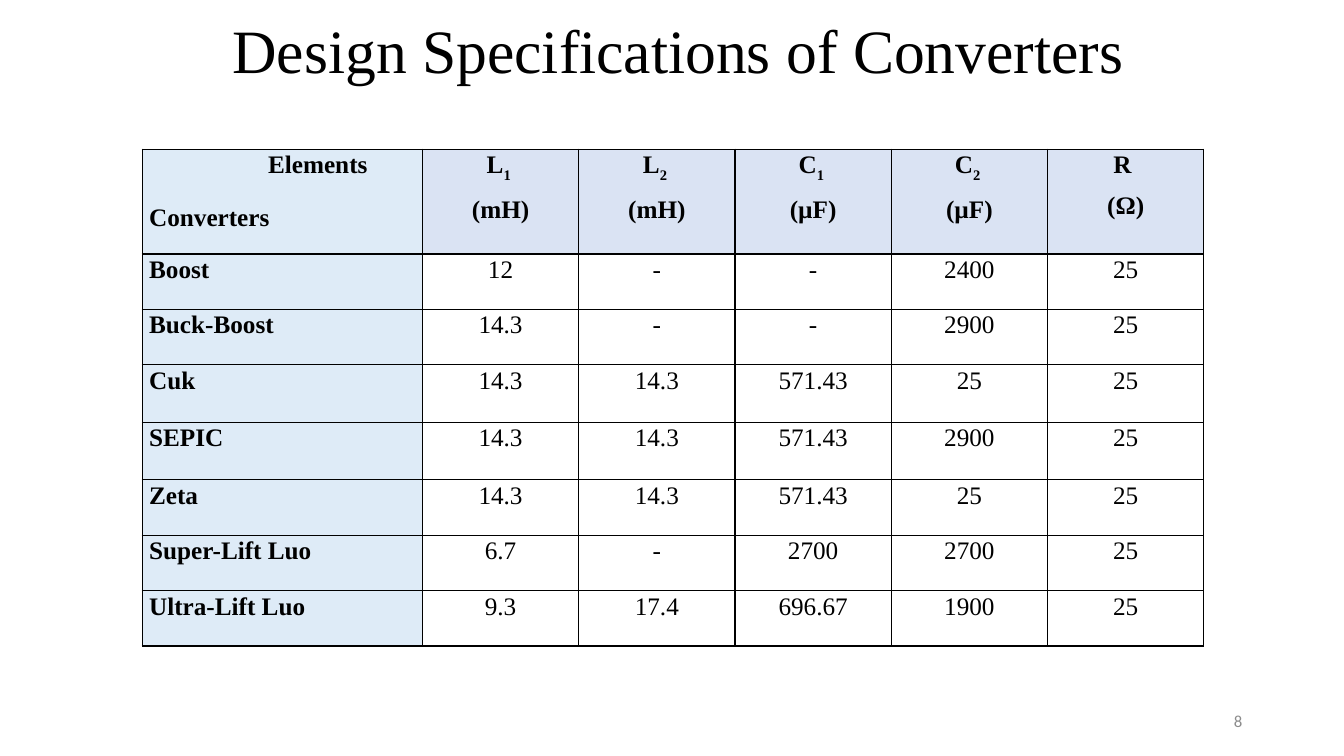
import pptx
import pptx.util
import pptx.dml.color
import pptx.enum.text
import pptx.oxml
import pptx.oxml.ns

Inches, Pt = pptx.util.Inches, pptx.util.Pt
ALIGN = pptx.enum.text.PP_ALIGN
MIDDLE = pptx.enum.text.MSO_ANCHOR.MIDDLE
SERIF = "Times New Roman"
COLORS = {"text": "000000", "number": "8C8C8C", "converter": "DEEBF7", "element": "DAE3F3"}

COLUMN_WIDTHS = [2.78] + [1.55] * 5
ROW_HEIGHTS = [1.04, 0.55, 0.55, 0.57, 0.57, 0.55, 0.55, 0.55]
ELEMENTS = [("L", "1", "mH"), ("L", "2", "mH"), ("C", "1", "µF"), ("C", "2", "µF"), ("R", "", "Ω")]
CONVERTERS = [
    ("Boost", "12", "-", "-", "2400", "25"),
    ("Buck-Boost", "14.3", "-", "-", "2900", "25"),
    ("Cuk", "14.3", "14.3", "571.43", "25", "25"),
    ("SEPIC", "14.3", "14.3", "571.43", "2900", "25"),
    ("Zeta", "14.3", "14.3", "571.43", "25", "25"),
    ("Super-Lift Luo", "6.7", "-", "2700", "2700", "25"),
    ("Ultra-Lift Luo", "9.3", "17.4", "696.67", "1900", "25"),
]


def style(paragraph, size, face, color, align, bold=False):
    paragraph.alignment = align
    paragraph.font.size = Pt(size)
    paragraph.font.name = face
    paragraph.font.bold = bold
    paragraph.font.color.rgb = pptx.dml.color.RGBColor.from_string(COLORS[color])


def add_label(slide, box, text, size, face, color, align):
    frame = slide.shapes.add_textbox(*map(Inches, box)).text_frame
    frame.word_wrap = True
    frame.vertical_anchor = MIDDLE
    frame.text = text
    style(frame.paragraphs[0], size, face, color, align)
    return frame.paragraphs[0]


deck = pptx.Presentation()
deck.slide_width, deck.slide_height = Inches(13.33), Inches(7.5)
slide = deck.slides.add_slide(deck.slide_layouts[6])

title = add_label(slide, (0.98, 0.15, 11.5, 0.77), "Design Specifications of Converters",
                  44, SERIF, "text", ALIGN.CENTER)
title.line_spacing = 0.9
add_label(slide, (9.42, 6.95, 3, 0.4), "8", 12, "Calibri", "number", ALIGN.RIGHT)

specifications = slide.shapes.add_table(
    len(ROW_HEIGHTS), len(COLUMN_WIDTHS), Inches(1.41), Inches(1.48),
    Inches(sum(COLUMN_WIDTHS)), Inches(sum(ROW_HEIGHTS))).table
specifications.first_row = specifications.horz_banding = False
for column, width in zip(specifications.columns, COLUMN_WIDTHS):
    column.width = Inches(width)
for row, height in zip(specifications.rows, ROW_HEIGHTS):
    row.height = Inches(height)

header = ["Elements\nConverters"] + [f"{symbol}\n({unit})" for symbol, _, unit in ELEMENTS]
for r, values in enumerate([header] + CONVERTERS):
    for c, value in enumerate(values):
        cell = specifications.cell(r, c)
        cell.margin_left = cell.margin_right = Inches(0.07)
        cell.margin_top = cell.margin_bottom = 0
        cell.text = value
        borders = cell._tc.get_or_add_tcPr()
        for side in ("lnL", "lnR", "lnT", "lnB"):
            borders.append(pptx.oxml.parse_xml(
                f'<a:{side} {pptx.oxml.ns.nsdecls("a")} w="{Pt(1)}"><a:solidFill>'
                f'<a:srgbClr val="{COLORS["text"]}"/></a:solidFill></a:{side}>'))
        if r == 0 or c == 0:
            cell.fill.solid()
            shade = COLORS["element" if c else "converter"]
            cell.fill.fore_color.rgb = pptx.dml.color.RGBColor.from_string(shade)
        else:
            cell.fill.background()
        for paragraph in cell.text_frame.paragraphs:
            paragraph.line_spacing = 1.07
            paragraph.space_after = Pt(8)
            style(paragraph, 18, SERIF, "text", ALIGN.CENTER if c else ALIGN.LEFT, r == 0 or c == 0)

elements_label, converters_label = specifications.cell(0, 0).text_frame.paragraphs
elements_label._p.get_or_add_pPr().set("marL", str(Inches(1.18)))
converters_label.line_spacing = 1.5

for c, (_, index, _) in enumerate(ELEMENTS, 1):
    subscript = specifications.cell(0, c).text_frame.paragraphs[0].add_run()
    subscript.text = f"{index} "
    if index:
        subscript._r.get_or_add_rPr().set("baseline", "-25000")

deck.save("out.pptx")
